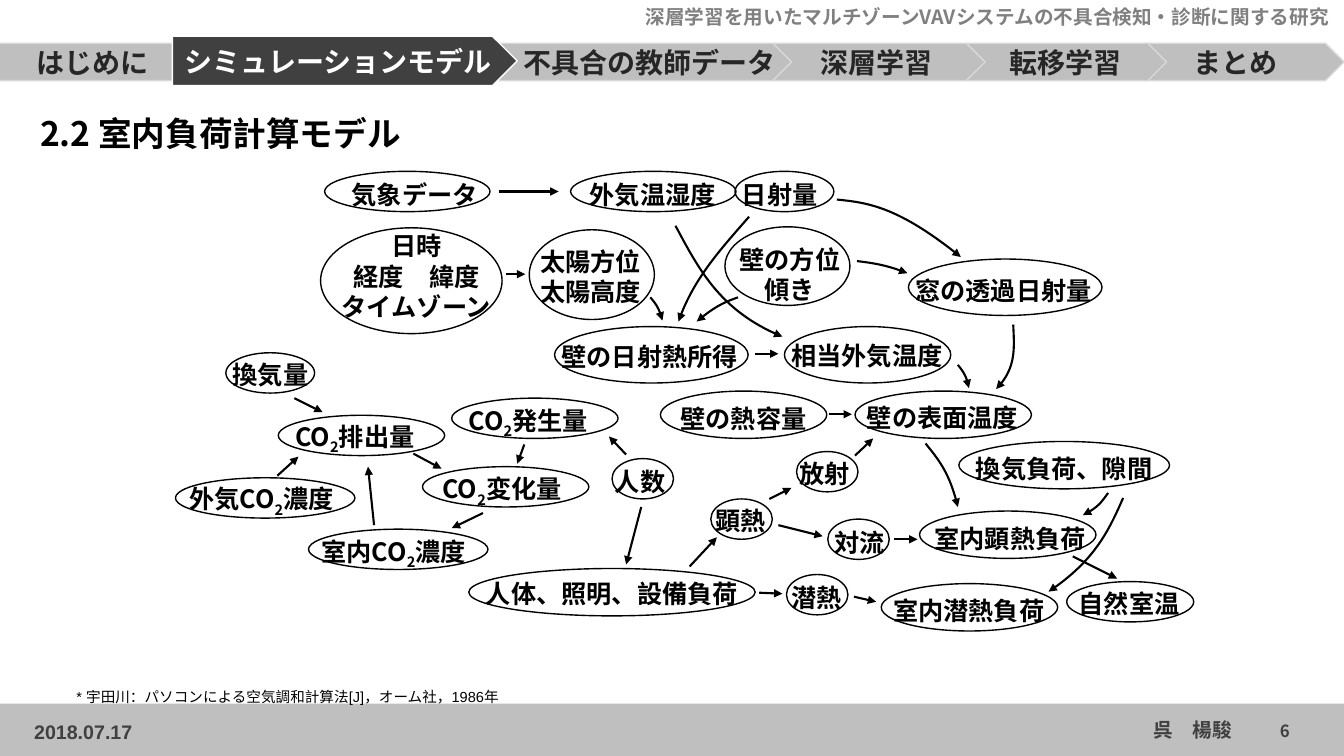
from lxml import etree
from pptx import Presentation
from pptx import util as u
from pptx.dml.color import RGBColor
from pptx.enum import shapes, text
from pptx.oxml.ns import qn

BLACK = RGBColor(0x00, 0x00, 0x00)
WHITE = RGBColor(0xFF, 0xFF, 0xFF)
DARK = RGBColor(0x40, 0x40, 0x40)
INK = RGBColor(0x26, 0x26, 0x26)
GRAY = RGBColor(0x80, 0x80, 0x80)
BAND = RGBColor(0xBF, 0xBF, 0xBF)
EDGE = RGBColor(0xD9, 0xD9, 0xD9)
JAPANESE = "Noto Sans CJK JP"
LEFT, CENTER, RIGHT = text.PP_ALIGN.LEFT, text.PP_ALIGN.CENTER, text.PP_ALIGN.RIGHT
SUBSCRIPT = "_2"  # marks a lowered 2 in a label


def write(frame, content, size=18, font=JAPANESE, color=BLACK, bold=True,
          align=LEFT, baseline=0):
    """Fill a text frame, one paragraph per line."""
    for index, line in enumerate(content.split("\n")):
        paragraph = frame.paragraphs[0] if index == 0 else frame.add_paragraph()
        paragraph.alignment = align
        before, mark, after = line.partition(SUBSCRIPT)
        for piece, shift in ((before, baseline), (mark[1:], -25), (after, baseline)):
            if not piece:
                continue
            run = paragraph.add_run()
            run.text = piece
            run.font.size = u.Pt(size)
            run.font.name = font
            run.font.bold = bold
            run.font.color.rgb = color
            properties = run._r.get_or_add_rPr()
            etree.SubElement(properties, qn("a:ea"), typeface=JAPANESE)
            if shift:
                properties.set("baseline", str(shift * 1000))


class Deck:
    """Holds the current slide and the style of its elements."""

    line_width = 1
    arrow_width = 1.5

    def __init__(self):
        self.presentation = Presentation()
        self.presentation.slide_width = u.Inches(13.33)
        self.presentation.slide_height = u.Inches(7.5)
        self.slide = self.presentation.slides.add_slide(self.presentation.slide_layouts[6])

    def label(self, content, left, top, width, height=0.4, inset=True,
              anchor=text.MSO_ANCHOR.TOP, **style):
        box = self.slide.shapes.add_textbox(*map(u.Inches, (left, top, width, height)))
        frame = box.text_frame
        frame.word_wrap = True
        frame.vertical_anchor = anchor
        if anchor == text.MSO_ANCHOR.TOP:
            frame.auto_size = text.MSO_AUTO_SIZE.SHAPE_TO_FIT_TEXT
        if not inset:
            frame.margin_left = frame.margin_right = 0
            frame.margin_top = frame.margin_bottom = 0
        write(frame, content, **style)

    def shape(self, kind, left, top, width, height, fill=None, line=None):
        shape = self.slide.shapes.add_shape(kind, *map(u.Inches, (left, top, width, height)))
        shape.shadow.inherit = False
        if fill is None:
            shape.fill.background()
        else:
            shape.fill.solid()
            shape.fill.fore_color.rgb = fill
        if line is None:
            shape.line.fill.background()
        else:
            shape.line.color.rgb = line
            shape.line.width = u.Pt(self.line_width)

    def finish_arrow(self, arrow):
        arrow.line.color.rgb = BLACK
        arrow.line.width = u.Pt(self.arrow_width)
        etree.SubElement(arrow.line._get_or_add_ln(), qn("a:tailEnd"), type="triangle")

    def arrow(self, *ends):
        arrow = self.slide.shapes.add_connector(
            shapes.MSO_CONNECTOR.STRAIGHT, *map(u.Inches, ends))
        self.finish_arrow(arrow)
        etree.SubElement(arrow.element.spPr, qn("a:effectLst"))

    def curve(self, *points):
        # The builder rounds to whole units, so points go in as EMU
        start, *others = [(u.Inches(x), u.Inches(y)) for x, y in points]
        builder = self.slide.shapes.build_freeform(*start)
        builder.add_line_segments(others, close=False)
        curve = builder.convert_to_shape()
        # Turn the three segments into one cubic curve
        path = curve.element.find(".//" + qn("a:path"))
        bezier = etree.Element(qn("a:cubicBezTo"))
        for segment in path.findall(qn("a:lnTo")):
            bezier.append(segment[0])
            path.remove(segment)
        path.append(bezier)
        curve.fill.background()
        curve.shadow.inherit = False
        self.finish_arrow(curve)


# Navigation: left and width of each plate, then of each label
PLATES = [(11.34, 1.99), (9.58, 1.99), (7.67, 2.1), (4.93, 2.92), (-0.01, 1.9)]
SECTIONS = [("はじめに", 0.36, 1.49), ("不具合の教師データ", 5.19, 2.6),
            ("深層学習", 8.14, 1.37), ("転移学習", 10.01, 1.37), ("まとめ", 11.84, 1.45)]

# Nodes: label, its left, top and width, then the ellipse's box
NODES = [
    ("気象データ", 3.39, 1.73, 1.46, 3.22, 1.7, 1.64, 0.4),
    ("外気温湿度", 5.75, 1.73, 1.46, 5.66, 1.7, 1.64, 0.4),
    ("日射量", 7.26, 1.73, 1.46, 7.29, 1.7, 0.98, 0.4),
    ("日時\n経度　緯度\nタイムゾーン", 3.12, 2.24, 2.02, 3.18, 2.26, 1.8, 1.05),
    ("太陽方位\n太陽高度", 5.26, 2.39, 1.46, 5.25, 2.28, 1.24, 0.89),
    ("壁の方位\n傾き", 7.18, 2.37, 1.31, 7.19, 2.25, 1.24, 0.78),
    ("窓の透過日射量", 8.98, 2.68, 2.02, 9.01, 2.57, 1.92, 0.56),
    ("壁の日射熱所得", 5.47, 3.34, 2.02, 5.5, 3.24, 1.92, 0.56),
    ("相当外気温度", 7.75, 3.33, 2.02, 7.78, 3.24, 1.65, 0.56),
    ("壁の熱容量", 6.65, 3.95, 2.02, 6.55, 3.88, 1.65, 0.47),
    ("壁の表面温度", 8.5, 3.94, 2.02, 8.48, 3.88, 1.75, 0.47),
    ("換気負荷、隙間", 9.58, 4.45, 2.02, 9.51, 4.38, 2.09, 0.47),
    ("室内顕熱負荷", 9.17, 5.14, 2.02, 9.12, 5.07, 1.75, 0.47),
    ("室内潜熱負荷", 8.76, 5.86, 2.02, 8.74, 5.79, 1.75, 0.47),
    ("対流", 8.18, 5.18, 0.83, 8.21, 5.15, 0.61, 0.4),
    ("潜熱", 7.75, 5.73, 0.83, 7.8, 5.7, 0.61, 0.4),
    ("放射", 7.83, 4.5, 0.83, 7.9, 4.48, 0.61, 0.4),
    ("顕熱", 7, 4.96, 0.83, 7.05, 4.95, 0.61, 0.4),
    ("人数", 6, 4.58, 0.74, 6.07, 4.55, 0.61, 0.4),
    ("換気量", 2.21, 3.52, 1.93, 2.24, 3.5, 0.88, 0.4),
    ("外気CO_2濃度", 1.78, 4.75, 1.93, 1.74, 4.74, 1.78, 0.4),
    ("自然室温", 10.6, 5.79, 2.02, 10.58, 5.77, 1.26, 0.4),
    ("人体、照明、設備負荷", 4.72, 5.69, 2.78, 4.65, 5.64, 2.84, 0.47),
    ("室内CO_2濃度", 3.09, 5.27, 1.93, 3.06, 5.25, 1.78, 0.4),
    ("CO_2変化量", 4.29, 4.65, 1.93, 4.19, 4.63, 1.65, 0.4),
    ("CO_2発生量", 4.55, 3.97, 1.93, 4.48, 3.95, 1.65, 0.4),
    ("CO_2排出量", 2.83, 4.13, 1.93, 2.76, 4.12, 1.65, 0.4),
]

ARROWS = [
    (4.95, 1.9, 5.54, 1.9), (5.02, 2.72, 5.21, 2.72), (7.49, 3.51, 7.72, 3.51),
    (8.22, 4.11, 8.45, 4.11), (8.48, 4.52, 8.66, 4.35), (7.63, 4.95, 7.85, 4.84),
    (7.72, 5.21, 8.16, 5.32), (8.87, 5.35, 9.1, 5.35), (10.64, 5.52, 11.08, 5.74),
    (8.47, 5.92, 8.69, 5.97), (6.84, 5.62, 7.11, 5.33), (7.53, 5.88, 7.76, 5.89),
    (6.36, 5.03, 6.21, 5.6), (6.21, 4.51, 6.04, 4.33), (5.2, 4.41, 5.13, 4.6),
    (4.1, 4.5, 4.38, 4.65), (4.79, 5.09, 4.48, 5.24), (3.71, 5.21, 3.65, 4.63),
    (2.92, 3.95, 3.2, 4.09), (2.75, 4.72, 2.96, 4.53),
]

# Curved arrows: start, two control points, end
CURVES = [
    ((7.43, 2.15), (7.15, 2.47), (6.87, 2.78), (6.73, 3.19)),
    ((6.45, 2.95), (6.5, 3.01), (6.54, 3.06), (6.57, 3.18)),
    ((6.7, 2.24), (6.93, 2.67), (7.15, 3.09), (7.76, 3.34)),
    ((7.32, 2.95), (7.21, 2.99), (7.1, 3.03), (6.91, 3.19)),
    ((8.3, 1.98), (8.6, 2.01), (8.91, 2.05), (9.53, 2.55)),
    ((8.5, 2.59), (8.67, 2.61), (8.83, 2.64), (9, 2.71)),
    ((10.05, 3.22), (10.06, 3.44), (10.08, 3.66), (9.88, 3.86)),
    ((9.5, 3.62), (9.54, 3.67), (9.59, 3.73), (9.61, 3.85)),
    ((9.18, 4.4), (9.3, 4.55), (9.42, 4.69), (9.5, 5.03)),
    ((10.99, 4.89), (10.94, 4.96), (10.89, 5.04), (10.74, 5.11)),
    ((11.14, 4.94), (11, 5.26), (10.85, 5.57), (10.4, 5.87)),
]


def main():
    deck = Deck()
    plate, ellipse = shapes.MSO_SHAPE.PENTAGON, shapes.MSO_SHAPE.OVAL

    # Header and footer
    deck.shape(shapes.MSO_SHAPE.RECTANGLE, 0, 6.98, 13.33, 0.52, fill=BAND)
    deck.label("深層学習を用いたマルチゾーンVAVシステムの不具合検知・診断に関する研究",
               0, 0, 13.28, 0.34, size=14, color=GRAY, align=RIGHT)
    deck.label("2018.07.17", 0.24, 7.09, 1.94, 0.34, size=14, font="Arial", color=DARK)
    deck.label("呉　楊駿", 11.34, 7.07, 0.99, 0.34, size=14, color=DARK)
    deck.label("6", 9.89, 7.05, 3, 0.4, anchor=text.MSO_ANCHOR.MIDDLE,
               size=12, color=DARK, align=RIGHT)

    # Navigation bar with the current section raised
    for left, width in PLATES:
        deck.shape(plate, left, 0.43, width, 0.37, fill=BAND, line=EDGE)
    for name, left, width in SECTIONS:
        deck.label(name, left, 0.45, width, 0.34, inset=False, size=20, color=INK)
    deck.shape(plate, 1.71, 0.36, 3.42, 0.49, fill=DARK, line=WHITE)
    deck.label("シミュレーションモデル", 1.83, 0.44, 3.16, 0.34,
               inset=False, size=20, color=WHITE)

    # Title and reference
    deck.label("2.2 室内負荷計算モデル", 0.3, 1.07, 6.37, 0.5, size=24)
    deck.label("* 宇田川：パソコンによる空気調和計算法[J]，オーム社，1986年",
               0.66, 6.75, 5.07, 0.3, font="Arial", bold=False, baseline=30)

    # Load model diagram
    for name, left, top, width, *outline in NODES:
        lines = name.count("\n") + 1
        centered = "日時" in name or "傾き" in name
        deck.label(name, left, top, width, 0.1 + 0.3 * lines,
                   align=CENTER if centered else LEFT)
        deck.shape(ellipse, *outline, line=BLACK)
    for ends in ARROWS:
        deck.arrow(*ends)
    for points in CURVES:
        deck.curve(*points)

    deck.presentation.save("out.pptx")


if __name__ == "__main__":
    main()
